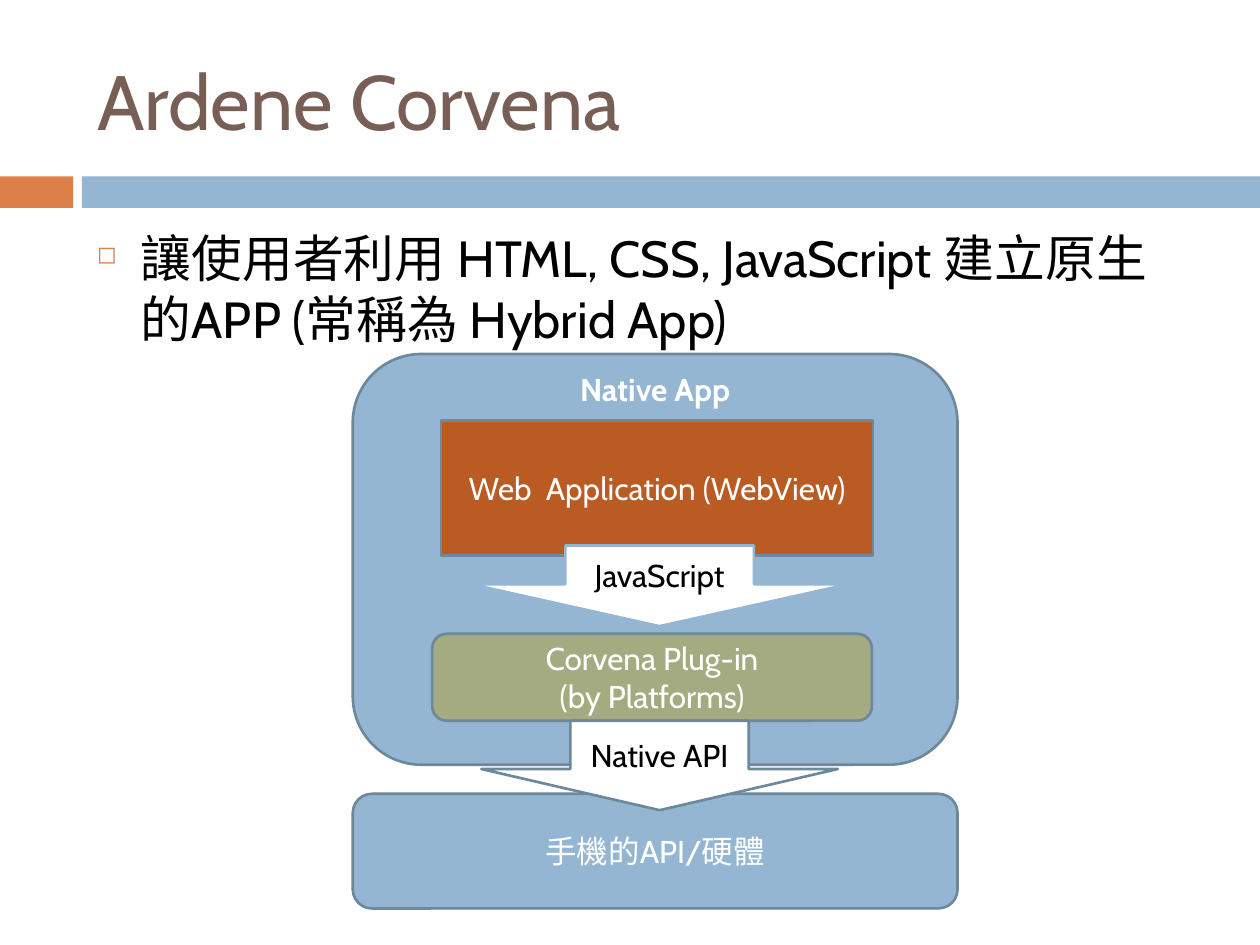
from lxml import etree
from pptx import Presentation
from pptx.dml.color import RGBColor
from pptx.enum.shapes import MSO_SHAPE
from pptx.enum.text import MSO_ANCHOR, MSO_AUTO_SIZE, PP_ALIGN
from pptx.oxml.ns import qn
from pptx.util import Inches, Pt

RECTANGLE = MSO_SHAPE.RECTANGLE
ROUNDED = MSO_SHAPE.ROUNDED_RECTANGLE
DOWN_ARROW = MSO_SHAPE.DOWN_ARROW
TOP, MIDDLE = MSO_ANCHOR.TOP, MSO_ANCHOR.MIDDLE
LEFT, CENTER = PP_ALIGN.LEFT, PP_ALIGN.CENTER

FONT = "Cabin"
BLUE, ORANGE, RUST, GREEN = "94B6D2", "DD8047", "B95B22", "A5AB81"
OUTLINE, BROWN, WHITE, BLACK = "6D879B", "775F55", "FFFFFF", "000000"


def color(hex_string):
    """Turn a hex string into a colour."""
    return RGBColor.from_string(hex_string)


def write_text(shape, text, size=18, fill=WHITE, bold=False, align=CENTER, anchor=MIDDLE):
    """Write one formatted paragraph into a shape and return it."""
    frame = shape.text_frame
    frame.word_wrap = True
    frame.auto_size = MSO_AUTO_SIZE.NONE
    frame.vertical_anchor = anchor
    paragraph = frame.paragraphs[0]
    paragraph.text = text
    paragraph.alignment = align
    for run in paragraph.runs:
        run.font.name = FONT
        run.font.size = Pt(size)
        run.font.bold = bold
        run.font.color.rgb = color(fill)
    return paragraph


def add_box(slide, kind, box, fill, line=None):
    """Add a flat preset shape; box is left, top, width, height in inches."""
    shape = slide.shapes.add_shape(kind, *map(Inches, box))
    shape.shadow.inherit = False
    shape.fill.solid()
    shape.fill.fore_color.rgb = color(fill)
    if line:
        shape.line.color.rgb = color(line)
        shape.line.width = Pt(1.5)
    else:
        shape.line.fill.background()
    return shape


def add_bullet(paragraph, character, fill, percent, indent):
    """Give a paragraph a coloured bullet and a hanging indent."""
    properties = paragraph._p.get_or_add_pPr()
    properties.set("marL", str(Inches(indent)))
    properties.set("indent", str(-Inches(indent)))
    bullet_color = etree.SubElement(properties, qn("a:buClr"))
    etree.SubElement(bullet_color, qn("a:srgbClr"), val=fill)
    etree.SubElement(properties, qn("a:buSzPct"), val=str(percent * 1000))
    etree.SubElement(properties, qn("a:buChar"), char=character)


def add_header(slide, box, text):
    """Place the title in its box and the two-colour band below it."""
    left, top, width, height = box
    band_top = top + height + 0.07
    add_box(slide, RECTANGLE, (0, band_top, 0.58, 0.25), ORANGE)
    add_box(slide, RECTANGLE, (0.65, band_top, 9.35, 0.25), BLUE)
    title = slide.shapes.title
    title.left, title.top, title.width, title.height = map(Inches, box)
    write_text(title, text, size=44, fill=BROWN, align=LEFT)


def add_body(slide, box, text):
    """Place the bulleted statement."""
    body = slide.shapes.add_textbox(*map(Inches, box))
    paragraph = write_text(body, text, size=29, fill=BLACK, align=LEFT, anchor=TOP)
    paragraph.space_before = Pt(7)
    add_bullet(paragraph, "\u25fb", ORANGE, 48, 0.35)


def add_architecture(slide, box):
    """Draw the app, its layers and the device inside the given box."""
    left, top, width, height = box
    device_height = 0.91
    app = add_box(slide, ROUNDED, (left, top, width, 3.26), BLUE, OUTLINE)
    app.text_frame.margin_top = Inches(-0.03)
    write_text(app, "Native App", bold=True, anchor=TOP)

    layers = [
        (ROUNDED, (0, height - device_height, width, device_height), BLUE, "手機的API/硬體"),
        (RECTANGLE, (0.7, 0.53, 3.43, 1.07), RUST, "Web  Application (WebView)"),
        (ROUNDED, (0.63, 2.22, 3.49, 0.69), GREEN, "Corvena Plug-in\n(by Platforms)"),
    ]
    for kind, (x, y, w, h), fill, text in layers:
        layer = add_box(slide, kind, (left + x, top + y, w, h), fill, OUTLINE)
        write_text(layer, text)

    arrows = [
        ((0.94, 1.52, 2.99, 0.64), 0.52, BLUE, "JavaScript"),
        ((1.02, 2.91, 2.83, 0.71), 0.46, OUTLINE, "Native API"),
    ]
    for (x, y, w, h), head, line, text in arrows:
        arrow = add_box(slide, DOWN_ARROW, (left + x, top + y, w, h), WHITE, line)
        arrow.adjustments[0] = 0.5
        arrow.adjustments[1] = head
        write_text(arrow, text, fill=BLACK)


def main():
    """Build and save the slide."""
    presentation = Presentation()
    presentation.slide_width, presentation.slide_height = Inches(10), Inches(7.5)
    slide = presentation.slides.add_slide(presentation.slide_layouts[5])
    add_header(slide, (0.67, 0.25, 8.92, 1.08), "Ardene Corvena")
    add_body(slide, (0.67, 1.75, 8.92, 4.92),
             "讓使用者利用 HTML, CSS, JavaScript 建立原生的APP (常稱為 Hybrid App)")
    add_architecture(slide, (2.8, 2.81, 4.8, 4.4))
    presentation.save("out.pptx")


main()
